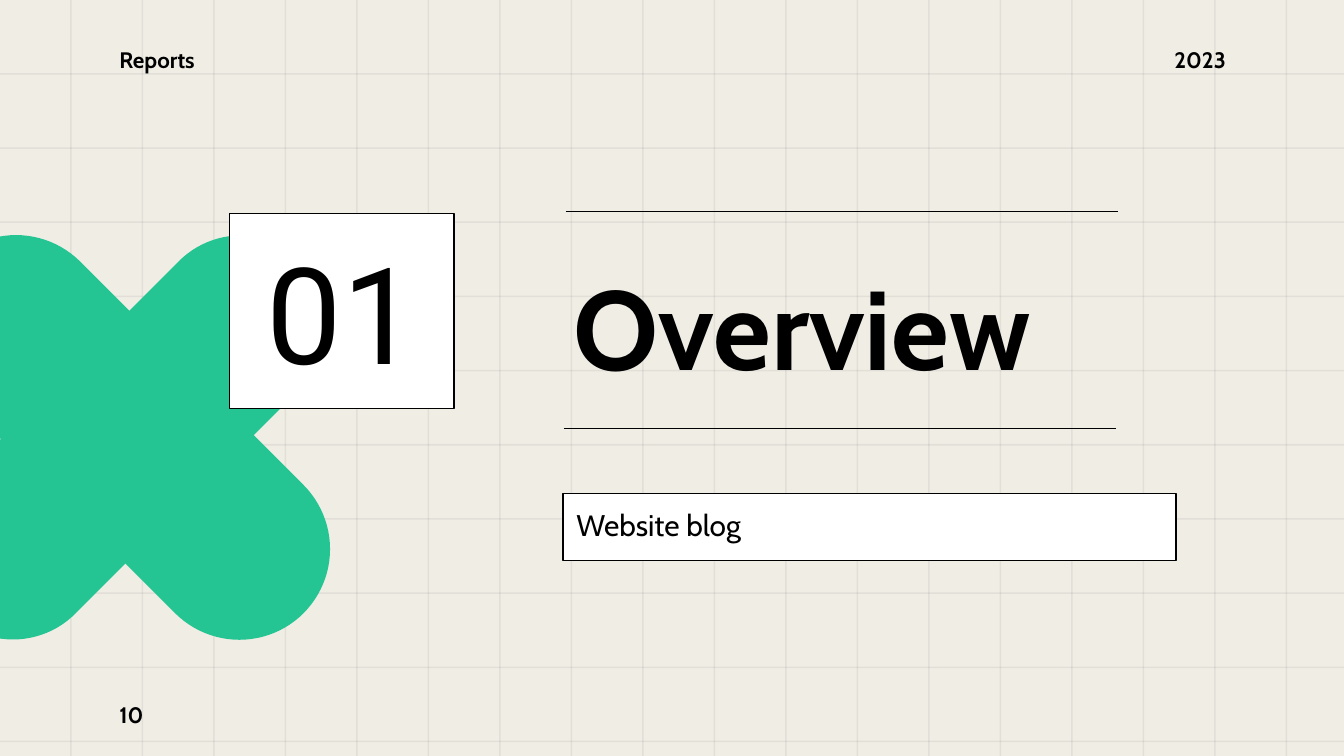
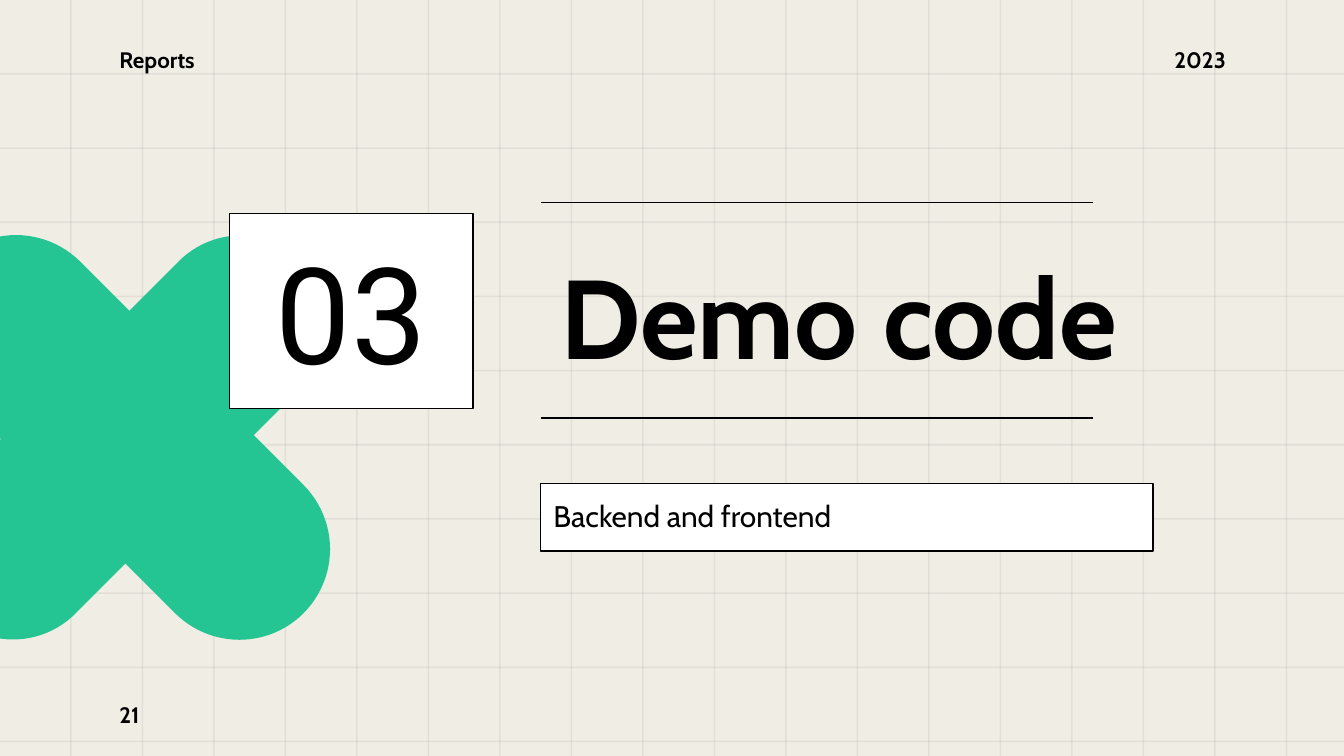
"""Builds two section slides on a squared-paper background."""
from lxml import etree
from pptx import Presentation
from pptx import util as u
from pptx.dml.color import RGBColor
from pptx.enum import shapes, text
from pptx.oxml.ns import qn

CELL = u.Inches(0.1)
COLUMNS, ROWS = 100, 56.25
COLORS = {"paper": "F0EDE5", "ink": "000000", "card": "FFFFFF", "petal": "25C593"}
GRID_OPACITY = 6
GRID_COLUMNS = {"first": 5.22, "step": 5.32, "count": 18}
GRID_ROWS = {"first": 5.44, "step": 5.52, "count": 10}
GRID_STROKE = 0.12
LINE_WIDTH = u.Pt(0.75)

LEFT, CENTER, RIGHT = text.PP_ALIGN.LEFT, text.PP_ALIGN.CENTER, text.PP_ALIGN.RIGHT
TOP, MIDDLE, BOTTOM = text.MSO_ANCHOR.TOP, text.MSO_ANCHOR.MIDDLE, text.MSO_ANCHOR.BOTTOM
FRAME = {"word_wrap": True, "margin_left": CELL, "margin_right": CELL,
         "margin_top": CELL, "margin_bottom": CELL}
FONTS = {
    "number": {"name": "Roboto", "size": u.Pt(72), "bold": False},
    "title": {"name": "Cabin", "size": u.Pt(60), "bold": True},
    "subtitle": {"name": "Cabin", "size": u.Pt(16), "bold": False},
    "label": {"name": "Cabin", "size": u.Pt(12), "bold": True},
}

SECTIONS = [
    {"number": "01", "title": "Overview", "subtitle": "Website blog", "page": "10",
     "number_box": (17.1, 15.9, 16.7, 14.5), "title_box": (41.7, 13.4, 41.5, 16.8),
     "subtitle_box": (41.9, 36.7, 45.6, 5), "rules": [(42.1, 15.75), (41.95, 31.87)]},
    {"number": "03", "title": "Demo code", "subtitle": "Backend and frontend", "page": "21",
     "number_box": (17.1, 15.9, 18.1, 14.5), "title_box": (40.7, 12.65, 48.2, 16.8),
     "subtitle_box": (40.2, 36, 45.6, 5), "rules": [(40.25, 15.07), (40.25, 31.1)]},
]
RULE_LENGTH = 41.1


def cells(*counts):
    """Turn counts of grid cells into lengths."""
    return [round(count * CELL) for count in counts]


def color(name):
    """Look up a colour by its role."""
    return RGBColor.from_string(COLORS[name])


def apply(target, values):
    """Set every attribute in a dict of format values."""
    for name, value in values.items():
        setattr(target, name, value)


def add_block(parent, box, fill, kind=shapes.MSO_SHAPE.RECTANGLE, outlined=False):
    """Add a filled preset shape, with or without a thin outline."""
    shape = parent.shapes.add_shape(kind, *cells(*box))
    shape.shadow.inherit = False
    shape.fill.solid()
    shape.fill.fore_color.rgb = color(fill)
    if outlined:
        shape.line.color.rgb = color("ink")
        shape.line.width = LINE_WIDTH
    else:
        shape.line.fill.background()
    return shape


def write(shape, words, font, align=LEFT, anchor=TOP):
    """Write one formatted line of text into a shape."""
    frame = shape.text_frame
    apply(frame, {**FRAME, "vertical_anchor": anchor})
    paragraph = frame.paragraphs[0]
    paragraph.alignment = align
    run = paragraph.add_run()
    run.text = words
    apply(run.font, FONTS[font])
    run.font.color.rgb = color("ink")


def add_text(slide, box, words, font, align=LEFT, anchor=TOP):
    """Add a plain text box."""
    write(slide.shapes.add_textbox(*cells(*box)), words, font, align, anchor)


def add_card(slide, box, words, font, align=LEFT, anchor=TOP):
    """Add a white outlined box with text."""
    write(add_block(slide, box, "card", outlined=True), words, font, align, anchor)


def add_rule(slide, left, top):
    """Add a thin horizontal line."""
    line = slide.shapes.add_connector(shapes.MSO_CONNECTOR.STRAIGHT,
                                      *cells(left, top, left + RULE_LENGTH, top))
    line.line.color.rgb = color("ink")
    line.line.width = LINE_WIDTH
    etree.SubElement(line._element.spPr, qn("a:effectLst"))


def positions(first, step, count):
    """List evenly spaced positions."""
    return [first + step * index for index in range(count)]


def add_grid(slide):
    """Draw the faint squared-paper strokes."""
    group = slide.shapes.add_group_shape()
    boxes = [(left, -0.5, GRID_STROKE, ROWS + 1) for left in positions(**GRID_COLUMNS)]
    boxes += [(-1, top, COLUMNS + 2, GRID_STROKE) for top in positions(**GRID_ROWS)]
    for box in boxes:
        stroke = add_block(group, box, "ink")
        fill_color = stroke._element.spPr.find(qn("a:solidFill"))[0]
        etree.SubElement(fill_color, qn("a:alpha"), val=str(GRID_OPACITY * 1000))


def add_petals(slide):
    """Draw the green cross of two tilted pills."""
    group = slide.shapes.add_group_shape()
    for box in [(2.9, 14, 13.1, 37.1), (-9, 25.8, 37, 13.5)]:
        pill = add_block(group, box, "petal", shapes.MSO_SHAPE.ROUNDED_RECTANGLE)
        pill.adjustments[0] = 0.5
        pill.rotation = 45


def add_section(presentation, section):
    """Add one section slide."""
    slide = presentation.slides.add_slide(presentation.slide_layouts[6])
    add_grid(slide)
    add_petals(slide)
    add_card(slide, section["number_box"], section["number"], "number", CENTER, MIDDLE)
    add_card(slide, section["subtitle_box"], section["subtitle"], "subtitle")
    add_text(slide, section["title_box"], section["title"], "title", anchor=BOTTOM)
    add_text(slide, (7.9, 51, 6, 4.3), section["page"], "label", anchor=MIDDLE)
    for left, top in section["rules"]:
        add_rule(slide, left, top)
    add_text(slide, (7.9, 2.4, 23.1, 3.4), "Reports", "label")
    add_text(slide, (69.1, 2.4, 23.1, 3.4), "2023", "label", RIGHT)


def main():
    """Build and save the presentation."""
    presentation = Presentation()
    presentation.slide_width, presentation.slide_height = cells(COLUMNS, ROWS)
    background = presentation.slide_master.background.fill
    background.solid()
    background.fore_color.rgb = color("paper")
    for section in SECTIONS:
        add_section(presentation, section)
    presentation.save("out.pptx")


if __name__ == "__main__":
    main()
